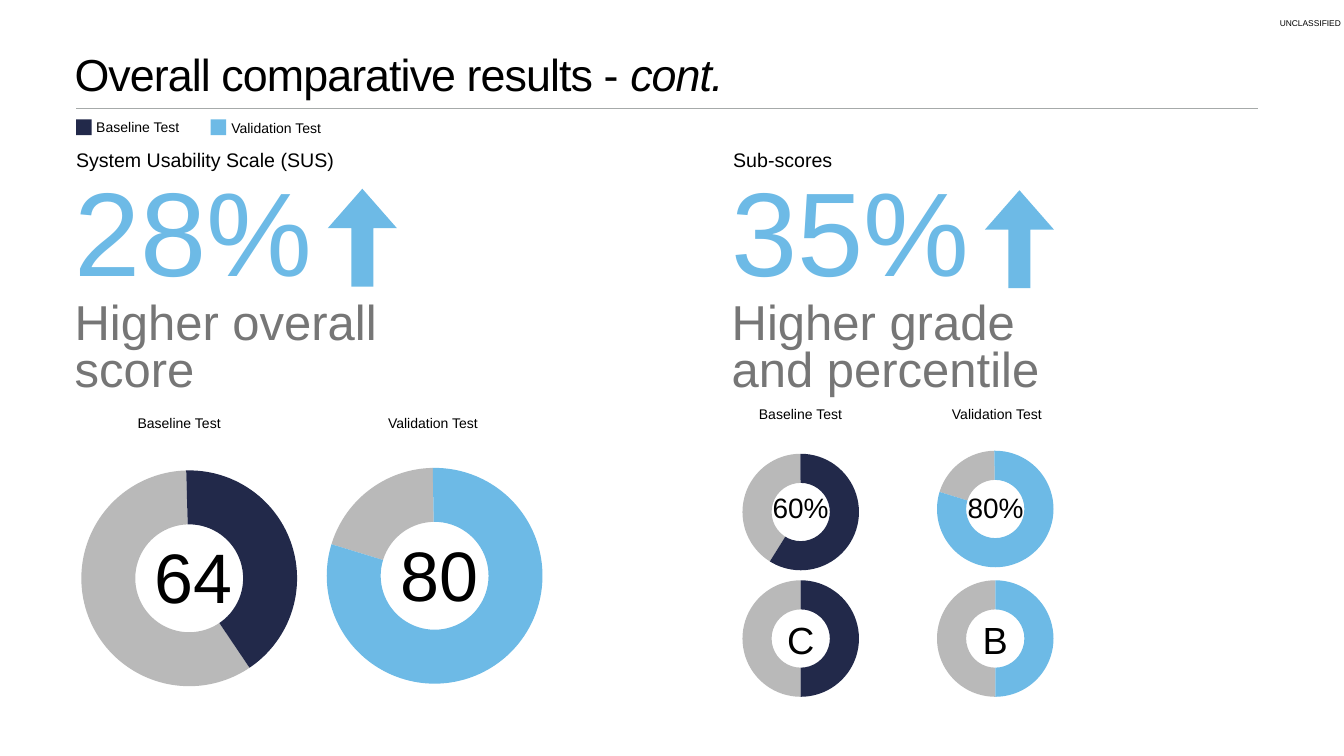
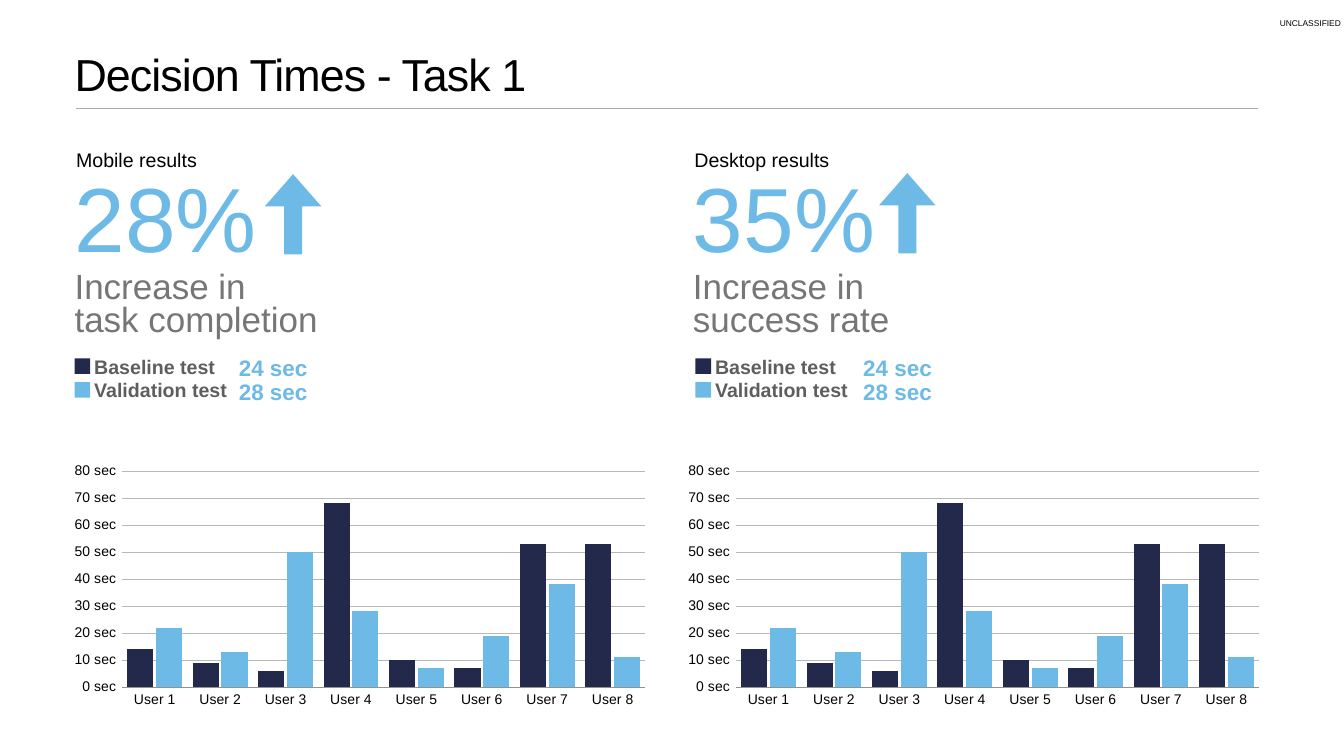
from lxml.etree import SubElement
from pptx import Presentation
from pptx.chart.data import CategoryChartData
from pptx.dml.color import RGBColor
from pptx.enum.chart import XL_CHART_TYPE, XL_TICK_LABEL_POSITION, XL_TICK_MARK
from pptx.enum.shapes import MSO_CONNECTOR, MSO_SHAPE
from pptx.enum.text import MSO_ANCHOR, PP_ALIGN
from pptx.oxml import parse_xml
from pptx.oxml.ns import nsdecls, qn
from pptx.util import Inches, Pt

BLACK = RGBColor(0x00, 0x00, 0x00)
NAVY = RGBColor(0x22, 0x29, 0x4A)
SKY = RGBColor(0x6D, 0xBA, 0xE6)
CAPTION_GREY = RGBColor(0x76, 0x76, 0x76)
LEGEND_GREY = RGBColor(0x5E, 0x5E, 0x5E)
RING_GREY = RGBColor(0xB9, 0xB9, 0xB9)
GRID_GREY = RGBColor(0xB8, 0xB8, 0xB8)
AXIS_GREY = RGBColor(0x92, 0x92, 0x92)
RULE_GREY = RGBColor(0xA6, 0xAA, 0xA9)

FONT = "Arial"
TITLE = {"size": Pt(64), "color": BLACK}
MARKING = {"size": Pt(12), "color": BLACK}
HEADING = {"size": Pt(28), "color": BLACK}
LABEL = {"size": Pt(20), "color": BLACK}
LEGEND = {"size": Pt(28), "color": LEGEND_GREY, "bold": True}
SECONDS = {"size": Pt(32), "color": SKY, "bold": True}


def add_text(page, at, paragraphs, align=PP_ALIGN.LEFT, anchor=MSO_ANCHOR.TOP):
    """Each paragraph is (line spacing, [(text, style), ...])."""
    box = page.shapes.add_textbox(*map(Inches, at))
    frame = box.text_frame
    frame.word_wrap = True
    frame.vertical_anchor = anchor
    for side in ("left", "top", "right", "bottom"):
        setattr(frame, f"margin_{side}", Inches(0.06))
    for number, (spacing, spans) in enumerate(paragraphs):
        para = frame.add_paragraph() if number else frame.paragraphs[0]
        para.alignment = align
        para.line_spacing = spacing
        for text, style in spans:
            span = para.add_run()
            span.text = text
            span.font.name = FONT
            for name, value in style.items():
                if name == "color":
                    span.font.color.rgb = value
                else:
                    setattr(span.font, name, value)
    return box


def add_chart(page, kind, at, categories, series, plot_area):
    """Series maps names to values; plot_area holds the inner x, y, w and h shares."""
    data = CategoryChartData()
    data.categories = categories
    for name, values in series.items():
        data.add_series(name, values)
    chart = page.shapes.add_chart(kind, *map(Inches, at), data).chart
    chart.has_legend = False
    chart.has_title = False
    chart.font.name = FONT
    chart.font.size = Pt(20)
    chart.font.color.rgb = BLACK
    area = chart._chartSpace.find(".//" + qn("c:plotArea"))
    for old in area.findall(qn("c:layout")):
        area.remove(old)
    layout = parse_xml(f"<c:layout {nsdecls('c')}><c:manualLayout/></c:layout>")
    entries = {"layoutTarget": "inner", "xMode": "edge", "yMode": "edge"}
    entries.update(zip("xywh", plot_area))
    for tag, value in entries.items():
        SubElement(layout[0], qn(f"c:{tag}")).set("val", str(value))
    area.insert(0, layout)
    return chart


deck = Presentation()
deck.slide_width, deck.slide_height = Inches(26.67), Inches(15)

# Marking, title and rule on both pages
pages = []
for title in (
    [("Overall comparative results - ", TITLE), ("cont.", {**TITLE, "italic": True})],
    [("Decision Times - Task 1", TITLE)],
):
    page = deck.slides.add_slide(deck.slide_layouts[6])
    pages.append(page)
    rule = page.shapes.add_connector(
        MSO_CONNECTOR.STRAIGHT, Inches(1.51), Inches(2.15), Inches(24.97), Inches(2.15))
    rule.line.color.rgb = RULE_GREY
    rule.line.width = Pt(2)
    SubElement(rule._element.spPr, qn("a:effectLst"))
    add_text(page, (0, 0, 26.67, 0.93), [(0.9, [("UNCLASSIFIED", MARKING)])],
             PP_ALIGN.RIGHT, MSO_ANCHOR.MIDDLE)
    box = add_text(page, (1.42, 1.08, 23.59, 1.37), [(0.8, title)])
    for span in box.text_frame.paragraphs[0].runs:
        span._r.get_or_add_rPr().set("spc", "-130")
scores, times = pages

# Headline figures: left, heading, percentage, caption lines
headlines = (
    (scores, 170, 70, (
        (1.42, "System Usability Scale (SUS)", "28%", ("Higher overall", "score")),
        (14.46, "Sub-scores", "35%", ("Higher grade", "and percentile")))),
    (times, 130, 50, (
        (1.42, "Mobile results", "28%", ("Increase in", "task completion")),
        (13.69, "Desktop results", "35%", ("Increase in", "success rate")))),
)
for page, figure_size, caption_size, columns in headlines:
    figure = {"size": Pt(figure_size), "color": SKY}
    caption = {"size": Pt(caption_size), "color": CAPTION_GREY}
    for left, heading, percentage, lines in columns:
        add_text(page, (left + 0.03, 2.88, 11.26, 0.6), [(1.0, [(heading, HEADING)])])
        add_text(page, (left, 3.39, 8.06, 4.82),
                 [(0.9, [(percentage, figure)])] + [(0.8, [(line, caption)]) for line in lines])

# Arrows pointing up
for page, left, top, length, breadth in (
    (scores, 6.22, 4.03, 1.94, 1.37), (scores, 19.26, 4.06, 1.94, 1.37),
    (times, 5.02, 3.69, 1.59, 1.12), (times, 17.21, 3.67, 1.59, 1.12),
):
    arrow = page.shapes.add_shape(
        MSO_SHAPE.RIGHT_ARROW, *map(Inches, (left, top, length, breadth)))
    arrow.rotation = 270
    arrow.adjustments[0], arrow.adjustments[1] = 0.32, 0.57
    arrow.shadow.inherit = False
    arrow.fill.solid()
    arrow.fill.fore_color.rgb = SKY
    arrow.line.fill.background()

# Legend squares
for page, left, top, color in (
    (scores, 1.51, 2.37, NAVY), (scores, 4.18, 2.37, SKY),
    (times, 1.48, 7.11, NAVY), (times, 1.48, 7.58, SKY),
    (times, 13.8, 7.11, NAVY), (times, 13.8, 7.58, SKY),
):
    square = page.shapes.add_shape(
        MSO_SHAPE.RECTANGLE, *map(Inches, (left, top, 0.31, 0.31)))
    square.shadow.inherit = False
    square.fill.solid()
    square.fill.fore_color.rgb = color
    square.line.fill.background()

# Scores: legend and ring labels
for text, spacing, at in (
    ("Baseline Test", 1.0, (1.85, 2.28, 2.68, 0.47)),
    ("Validation Test", 1.0, (4.53, 2.4, 2.33, 0.28)),
    ("Baseline Test", 0.9, (2.67, 7.89, 2.03, 1.05)),
    ("Validation Test", 0.9, (7.64, 7.89, 2.03, 1.05)),
    ("Baseline Test", 0.9, (15, 7.7, 2.03, 1.05)),
    ("Validation Test", 0.9, (18.83, 7.7, 2.03, 1.05)),
):
    add_text(scores, at, [(spacing, [(text, LABEL)])], anchor=MSO_ANCHOR.MIDDLE)

# Scores: rings as left, top, size, rest and score, start angle, color
for left, top, size, values, start, color in (
    (1.57, 9.29, 4.37, (59, 41), 146, NAVY),
    (6.44, 9.24, 4.37, (20, 80), 287, SKY),
    (14.71, 8.98, 2.36, (41, 59), 212, NAVY),
    (18.57, 8.92, 2.36, (20, 80), 287, SKY),
    (14.71, 11.49, 2.36, (50, 50), 180, NAVY),
    (18.57, 11.49, 2.36, (50, 50), 180, SKY),
):
    ring = add_chart(scores, XL_CHART_TYPE.DOUGHNUT, (left, top, size, size),
                     ("1", "2"), {"Series 1": values}, (0.01, 0.01, 0.98, 0.98))
    for number, fill_color in enumerate((RING_GREY, color)):
        point = ring.plots[0].series[0].points[number]
        point.format.fill.solid()
        point.format.fill.fore_color.rgb = fill_color
        point.format.line.fill.background()
    for tag, value in (("firstSliceAng", start), ("holeSize", 60)):
        ring._chartSpace.find(".//" + qn(f"c:{tag}")).set("val", str(value))

# Scores: text inside the rings
for text, size, align, at in (
    ("64", 100, PP_ALIGN.LEFT, (3.01, 10.52, 1.69, 1.55)),
    ("80", 100, PP_ALIGN.LEFT, (7.88, 10.48, 1.69, 1.55)),
    ("60%", 40, PP_ALIGN.CENTER, (15.04, 9.68, 1.69, 1.13)),
    ("80%", 40, PP_ALIGN.CENTER, (18.91, 9.68, 1.69, 1.13)),
    ("C", 54, PP_ALIGN.CENTER, (15.24, 12.18, 1.3, 1.13)),
    ("B", 54, PP_ALIGN.CENTER, (19.1, 12.18, 1.3, 1.13)),
):
    add_text(scores, at, [(1.0, [(text, {"size": Pt(size), "color": BLACK})])], align)

# Times: legends and column charts
users = [f"User {number}" for number in range(1, 9)]
seconds = {
    "Baseline test": (14, 9, 6, 68, 10, 7, 53, 53),
    "Validation test": (22, 13, 50, 28, 7, 19, 38, 11),
}
for names_left, seconds_left, chart_left in ((1.81, 4.68, 1.48), (14.13, 17.07, 13.66)):
    add_text(times, (names_left, 6.98, 3.87, 1.09),
             [(1.0, [(name, LEGEND)]) for name in seconds])
    add_text(times, (seconds_left, 7.02, 2.51, 0.92),
             [(0.9, [(text, SECONDS)]) for text in ("24 sec", "28 sec")])

    chart = add_chart(times, XL_CHART_TYPE.COLUMN_CLUSTERED, (chart_left, 9.1, 11.33, 4.94),
                      users, seconds, (0.08, 0.05, 0.92, 0.87))
    plot = chart.plots[0]
    plot.gap_width, plot.overlap, plot.vary_by_categories = 40, -10, False
    for series, color in zip(plot.series, (NAVY, SKY)):
        series.format.fill.solid()
        series.format.fill.fore_color.rgb = color
    for axis in (chart.category_axis, chart.value_axis):
        axis.major_tick_mark = axis.minor_tick_mark = XL_TICK_MARK.NONE
        axis.tick_labels.font.size = Pt(20)
    chart.category_axis.tick_label_position = XL_TICK_LABEL_POSITION.LOW
    chart.category_axis.format.line.color.rgb = AXIS_GREY
    chart.category_axis.format.line.width = Pt(0.5)
    scale = chart.value_axis
    scale.minimum_scale, scale.maximum_scale, scale.major_unit = 0, 80, 10
    scale.tick_labels.number_format = '0" sec"_);\\(0\\)" sec"'
    scale.tick_labels.number_format_is_linked = False
    scale.format.line.fill.background()
    scale.major_gridlines.format.line.color.rgb = GRID_GREY
    scale.major_gridlines.format.line.width = Pt(0.5)

deck.save("out.pptx")
